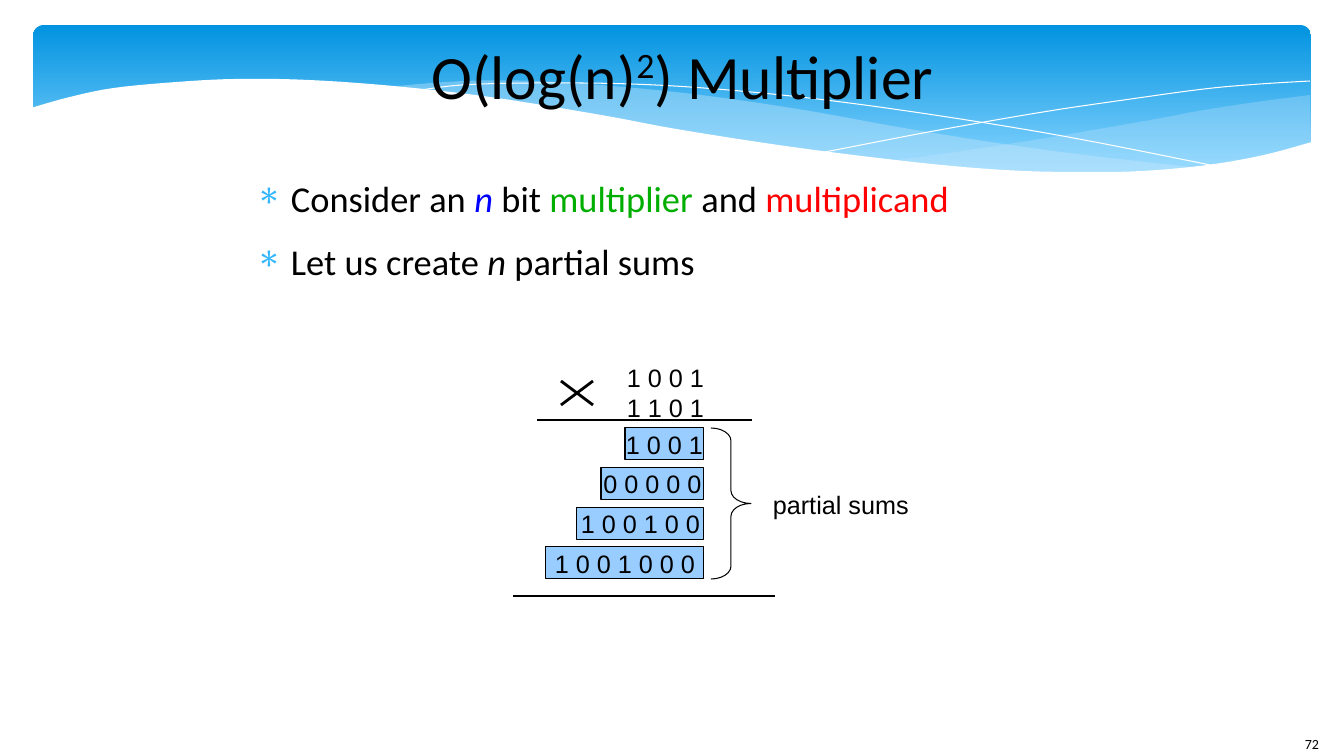
from lxml.etree import SubElement
from pptx import Presentation
from pptx.dml.color import RGBColor
from pptx.enum.shapes import MSO_CONNECTOR as Connector, MSO_SHAPE as Shape
from pptx.enum.text import MSO_ANCHOR as Anchor, MSO_AUTO_SIZE as AutoSize, PP_ALIGN as Align
from pptx.oxml.ns import qn
from pptx.util import Pt

COLORS = {
    "black": "000000", "white": "FFFFFF", "blue": "0000FF", "green": "00AE00",
    "red": "FF0000", "bullet": "31B6FD", "row": "99CCFF",
    "banner_top": "0293E0", "banner_bottom": "83D3FE", "wave": "C6E7FC",
}
PX = 914400 / 100.8

# Runs are (text, color, style)
TITLE = [("O(log(n)", "black", ""), ("2", "black", "super"), (") Multiplier", "black", "")]
BULLETS = [
    [("Consider an ", "black", ""), ("n ", "blue", "italic"), ("bit ", "black", ""),
     ("multiplier", "green", ""), (" and ", "black", ""), ("multiplicand", "red", "")],
    [("Let us create ", "black", ""), ("n", "black", "italic"), (" partial sums", "black", "")],
]
FACTORS = ["1 0 0 1", "1 1 0 1"]
PARTIAL_SUMS = [("1 0 0 1", 79), ("0 0 0 0 0", 103), ("1 0 0 1 0 0", 127), ("1 0 0 1 0 0 0", 158)]
BRACE_LABEL = "partial sums"
PAGE_NUMBER = "72"

RULES = [((537, 420), (752, 420)), ((513, 596), (775, 596))]
TIMES_SIGN = [((561, 381), (593, 405)), ((593, 381), (561, 405))]
ROWS_RIGHT, ROWS_TOP, ROWS_BOTTOM, ROW_HEIGHT = 704, 428, 579, 32

# Each wave is a list of curves joined by straight edges
RIGHT_WAVE = [
    [(1310, 95), (1256, 102), (1198, 111), (1156, 119), (1046, 138), (949, 153), (889, 161)],
    [(889, 161), (948, 166), (1017, 172), (1094, 173), (1160, 171), (1228, 163),
     (1276, 153), (1311, 143)],
]
MIDDLE_WAVE = [
    [(1200, 168), (1085, 155), (997, 143), (898, 127), (804, 110), (709, 96), (624, 87),
     (536, 81), (463, 81), (385, 87)],
    [(385, 87), (460, 95), (543, 107), (659, 127), (761, 144), (853, 157), (953, 167),
     (1054, 173), (1127, 173), (1200, 168)],
]
FALLING_LINE = [[(415, 91), (462, 85), (539, 83), (630, 84), (716, 89), (817, 99),
                 (934, 115), (1068, 137), (1220, 167)]]
RISING_LINE = [[(825, 152), (934, 131), (1043, 112), (1124, 100), (1204, 89), (1260, 84),
                (1310, 81)]]
FRONT_WAVE = [
    [(1312, 142), (1264, 155), (1208, 165), (1143, 171), (1087, 172), (1023, 171),
     (952, 166), (870, 157), (778, 145), (676, 129), (601, 115), (490, 97), (393, 86),
     (308, 80), (237, 79), (177, 82), (114, 88), (70, 97), (31, 108)],
    [(31, 226), (1313, 226)],
]


def emu(px):
    return round(px * PX)


def rgb(name):
    return RGBColor.from_string(COLORS[name])


def smooth(points, steps=5):
    """Points along a Catmull-Rom curve through the given points."""
    padded = [points[0], *points, points[-1]]
    curve = [points[0]]
    for a, b, c, d in zip(padded, padded[1:], padded[2:], padded[3:]):
        for step in range(1, steps + 1):
            t = step / steps
            curve.append(tuple(
                (2 * q + (r - p) * t + (2 * p - 5 * q + 4 * r - s) * t ** 2
                 + (3 * q - p - 3 * r + s) * t ** 3) / 2
                for p, q, r, s in zip(a, b, c, d)))
    return curve


def paint(shape, fill=None, line=None, alpha=None):
    shape.shadow.inherit = False
    if fill:
        shape.fill.solid()
        shape.fill.fore_color.rgb = rgb(fill)
    else:
        shape.fill.background()
    if alpha:
        color = shape.fill._xPr.find(qn("a:solidFill"))[0]
        SubElement(color, qn("a:alpha"), val=str(alpha * 1000))
    if line:
        shape.line.color.rgb = rgb(line)
        shape.line.width = 0
    else:
        shape.line.fill.background()


def add_wave(slide, curves, fill=None, line=None, alpha=None):
    points = [point for curve in curves for point in smooth(curve)]
    builder = slide.shapes.build_freeform(*map(emu, points[0]), scale=1.0)
    builder.add_line_segments([tuple(map(emu, point)) for point in points[1:]], close=bool(fill))
    paint(builder.convert_to_shape(), fill, line, alpha)


def add_preset(slide, kind, box):
    return slide.shapes.add_shape(kind, *map(emu, box))


def add_hairline(slide, start, end):
    hairline = slide.shapes.add_connector(Connector.STRAIGHT, *map(emu, start + end))
    hairline.line.color.rgb = rgb("black")
    hairline.line.width = 0
    SubElement(hairline._element.spPr, qn("a:effectLst"))


def write(paragraph, runs, size, font):
    for text, color, style in runs:
        run = paragraph.add_run()
        run.text = text
        run.font.size, run.font.name = Pt(size), font
        run.font.color.rgb = rgb(color)
        if style == "italic":
            run.font.italic = True
        elif style == "super":
            run.font._element.set("baseline", "33000")


def add_text(slide, box, paragraphs, size, font, flush=False, wrap=False):
    frame = slide.shapes.add_textbox(*map(emu, box)).text_frame
    frame.word_wrap = wrap
    if flush:
        frame.margin_left = frame.margin_top = frame.margin_right = frame.margin_bottom = 0
    for index, runs in enumerate(paragraphs):
        paragraph = frame.add_paragraph() if index else frame.paragraphs[0]
        write(paragraph, runs, size, font)
    return frame


def add_bullet(paragraph):
    props = paragraph._p.get_or_add_pPr()
    props.set("marL", str(emu(47)))
    props.set("indent", str(-emu(35)))
    paragraph.space_after = Pt(14.1)
    bullet_color = SubElement(props, qn("a:buClr"))
    SubElement(bullet_color, qn("a:srgbClr"), val=COLORS["bullet"])
    SubElement(props, qn("a:buChar"), char="∗")


def add_banner(slide):
    banner = add_preset(slide, Shape.ROUNDED_RECTANGLE, (33, 25, 1278, 157))
    banner.adjustments[0] = 0.07
    paint(banner)
    banner.fill.gradient()
    banner.fill.gradient_angle = 270
    stops = zip(banner.fill.gradient_stops, [("banner_top", 0), ("banner_bottom", 0.9)])
    for stop, (color, position) in stops:
        stop.color.rgb, stop.position = rgb(color), position
    add_wave(slide, RIGHT_WAVE, fill="wave", alpha=29)
    add_wave(slide, MIDDLE_WAVE, fill="wave", alpha=40)
    add_wave(slide, FALLING_LINE, line="white")
    add_wave(slide, RISING_LINE, line="white")
    add_wave(slide, FRONT_WAVE, fill="white")


def add_multiplication(slide):
    factors = [[(factor, "black", "")] for factor in FACTORS]
    add_text(slide, (617, 357, 98, 69), factors, 18, "Arial").auto_size = AutoSize.SHAPE_TO_FIT_TEXT
    for start, end in RULES + TIMES_SIGN:
        add_hairline(slide, start, end)

    pitch = (ROWS_BOTTOM - ROWS_TOP - ROW_HEIGHT) / (len(PARTIAL_SUMS) - 1)
    for index, (digits, width) in enumerate(PARTIAL_SUMS):
        box = (ROWS_RIGHT - width, ROWS_TOP + index * pitch, width, ROW_HEIGHT)
        row = add_preset(slide, Shape.RECTANGLE, box)
        paint(row, "row", "black")
        row.text_frame.word_wrap = False
        row.text_frame.vertical_anchor = Anchor.MIDDLE
        row.text_frame.paragraphs[0].alignment = Align.CENTER
        write(row.text_frame.paragraphs[0], [(digits, "black", "")], 18, "Arial")

    brace = add_preset(slide, Shape.RIGHT_BRACE, (711, ROWS_TOP, 40, ROWS_BOTTOM - ROWS_TOP))
    brace.adjustments[0] = 0.32
    paint(brace, line="black")
    label = add_text(slide, (763, 484, 157, 39), [[(BRACE_LABEL, "black", "")]], 18, "Arial")
    label.auto_size = AutoSize.SHAPE_TO_FIT_TEXT


def main():
    prs = Presentation()
    prs.slide_width, prs.slide_height = emu(1344), emu(756)
    slide = prs.slides.add_slide(prs.slide_layouts[6])
    add_banner(slide)
    add_text(slide, (1295, 731, 83, 40), [[(PAGE_NUMBER, "black", "")]], 10, "Calibri", wrap=True)
    title = add_text(slide, (274, 23, 817, 103), [TITLE], 44, "Calibri", flush=True, wrap=True)
    title.vertical_anchor = Anchor.MIDDLE
    title.paragraphs[0].alignment = Align.CENTER
    body = add_text(slide, (244, 176, 873, 173), BULLETS, 26, "Calibri", flush=True, wrap=True)
    for paragraph in body.paragraphs:
        add_bullet(paragraph)
    add_multiplication(slide)
    prs.save("out.pptx")


if __name__ == "__main__":
    main()
